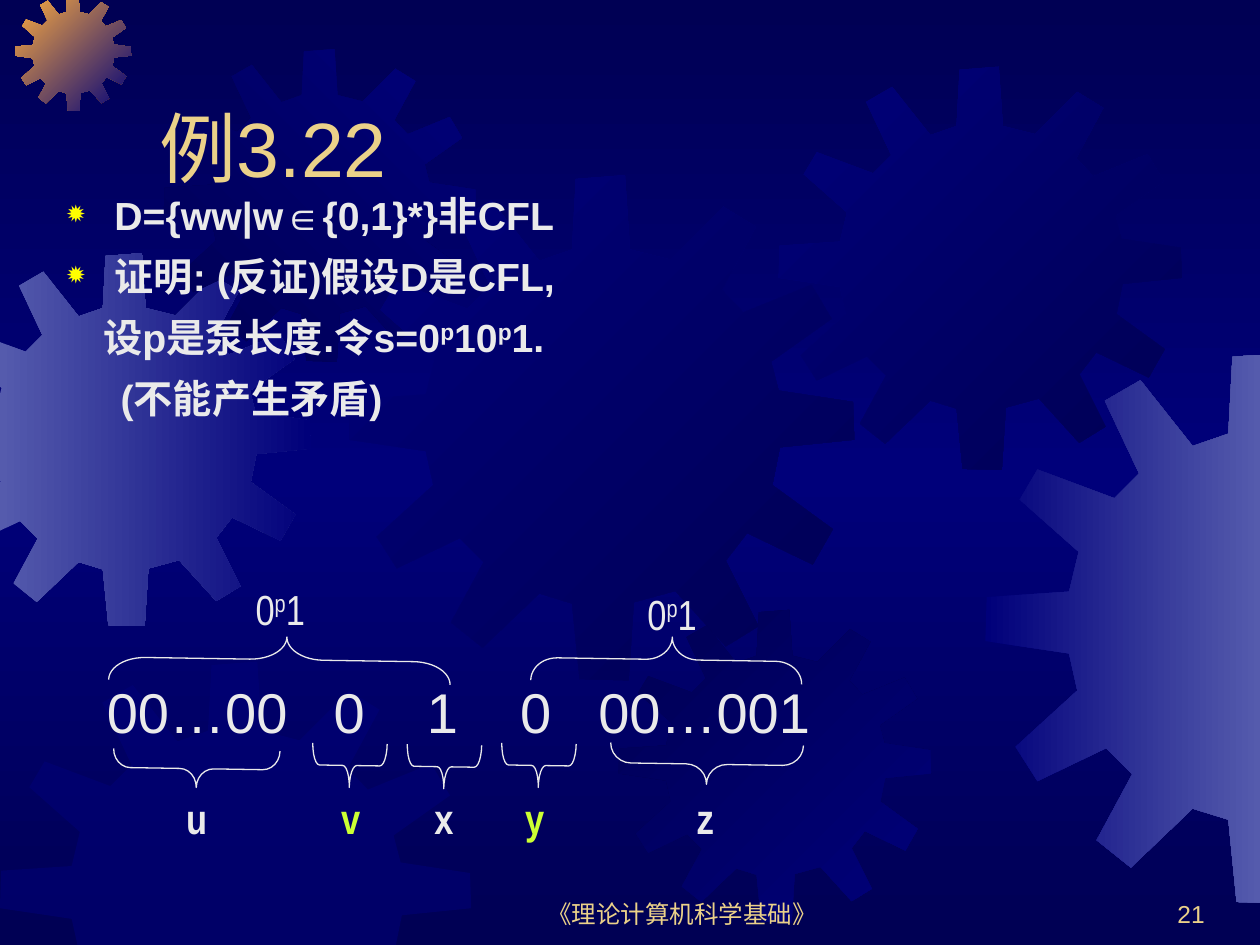
from copy import deepcopy

from lxml import etree
from pptx import Presentation
from pptx.dml.color import RGBColor
from pptx.enum.shapes import MSO_SHAPE
from pptx.enum.text import MSO_ANCHOR, PP_ALIGN
from pptx.oxml.ns import qn
from pptx.util import Inches, Pt

BRACE = MSO_SHAPE.LEFT_BRACE
TOP, BOTTOM = MSO_ANCHOR.TOP, MSO_ANCHOR.BOTTOM
LEFT, CENTER, RIGHT = PP_ALIGN.LEFT, PP_ALIGN.CENTER, PP_ALIGN.RIGHT

SLIDE_W, SLIDE_H = 10, 7.5
COLORS = {
    "navy": "000054", "blue": "00007A", "steel": "555BAD", "orange": "FCAB40",
    "gold": "EBD189", "text": "EAEAEA", "lime": "CCFF33", "bullet": "FFFF00",
}

# Outline of a twelve-toothed gear, in a square of GEAR_SIZE units
GEAR_SIZE = 401
GEAR = [
    (255, 67), (223, 59), (219, 0), (180, 3), (177, 59), (151, 68), (113, 20), (87, 35),
    (112, 88), (94, 106), (38, 85), (25, 107), (68, 145), (61, 174), (1, 178), (0, 210),
    (61, 219), (67, 246), (22, 287), (38, 312), (88, 288), (107, 307), (81, 355), (106, 375),
    (151, 332), (177, 340), (183, 400), (222, 401), (226, 339), (259, 330), (299, 374),
    (325, 358), (299, 306), (316, 284), (368, 309), (384, 281), (336, 246), (342, 216),
    (401, 210), (400, 180), (341, 171), (335, 148), (383, 114), (367, 87), (313, 109),
    (296, 91), (323, 41), (297, 25),
]
# left, top, size, first colour, last colour, angle
GEARS = [
    (-0.49, 2.01, 2.96, "steel", "blue", 0),
    (0.12, -0.04, 0.92, "orange", "blue", 45),
    (1.3, 0.39, 2.48, "navy", "blue", 315),
    (2.77, 1.39, 4.01, "blue", "navy", 45),
    (0, 5.25, 3.74, "blue", None, 0),
    (4.91, 4.84, 2.48, "navy", "blue", 45),
    (6.18, 0.53, 3.2, "blue", "navy", 45),
    (7.82, 2.8, 4.37, "blue", "steel", 0),
]
# left, top, width, height before turning, rotation, curl, tip position
BRACES = [
    (2.04, 3.88, 0.36, 2.71, 90.9, 0.81, 0.48),
    (5.11, 4.16, 0.36, 2.15, 90.9, 0.58, 0.48),
    (1.41, 5.44, 0.3, 1.32, 270.9, 0.45, 0.5),
    (2.6, 5.78, 0.35, 0.59, 270.9, 0.16, 0.5),
    (3.35, 5.79, 0.35, 0.59, 270.9, 0.16, 0.5),
    (4.1, 5.78, 0.35, 0.59, 270.9, 0.16, 0.5),
    (5.45, 5.3, 0.32, 1.53, 270.9, 0.51, 0.5),
]
LABELS = [("u", 1.38, "text"), ("v", 2.61, "lime"), ("x", 3.35, "text"),
          ("y", 4.07, "lime"), ("z", 5.43, "text")]


def rgb(name):
    return RGBColor.from_string(COLORS[name])


def clip(points, axis, limit, sign):
    """Keep the part of a polygon where sign * coordinate <= sign * limit."""
    kept = []
    for a, b in zip(points, points[1:] + points[:1]):
        a_in, b_in = (sign * p[axis] <= sign * limit for p in (a, b))
        if a_in:
            kept.append(a)
        if a_in != b_in:
            t = (limit - a[axis]) / (b[axis] - a[axis])
            kept.append(tuple(m + t * (n - m) for m, n in zip(a, b)))
    return kept


def set_gradient(fill, colors, angle):
    for stop, color in zip(fill.gradient_stops, colors):
        stop.color.rgb = rgb(color)
    fill.gradient_angle = -angle % 360


def add_background(s):
    fill = s.background.fill
    fill.gradient()
    stops = s._element.find(".//" + qn("a:gsLst"))
    stops.insert(1, deepcopy(stops[0]))
    fill.gradient_stops[1].position = 0.5
    set_gradient(fill, ("navy", "blue", "navy"), 90)


def add_gear(s, left, top, size, first, last, angle):
    k = size / GEAR_SIZE
    points = [(left + k * x, top + k * y) for x, y in GEAR]
    for axis, limit, sign in ((0, 0, -1), (0, SLIDE_W, 1), (1, 0, -1), (1, SLIDE_H, 1)):
        points = clip(points, axis, limit, sign)
    points = [(Inches(x), Inches(y)) for x, y in points]
    builder = s.shapes.build_freeform(*points[0])
    builder.add_line_segments(points[1:], close=True)
    sp = builder.convert_to_shape()
    sp.shadow.inherit = False
    sp.line.fill.background()
    if last:
        sp.fill.gradient()
        set_gradient(sp.fill, (first, last), angle)
    else:  # half-transparent plain gear
        sp.fill.solid()
        sp.fill.fore_color.rgb = rgb(first)
        color = sp._element.spPr.find(".//" + qn("a:srgbClr"))
        etree.SubElement(color, qn("a:alpha"), val="50000")


def add_brace(s, left, top, width, height, rotation, curl, tip):
    sp = s.shapes.add_shape(BRACE, *map(Inches, (left, top, width, height)))
    sp.rotation = rotation
    sp.adjustments[0], sp.adjustments[1] = curl, tip
    sp.shadow.inherit = False
    sp.fill.background()
    sp.line.color.rgb = rgb("text")
    sp.line.width = Pt(0.75)


def add_box(s, left, top, width, height, anchor=TOP):
    tf = s.shapes.add_textbox(*map(Inches, (left, top, width, height))).text_frame
    tf.word_wrap = True
    tf.vertical_anchor = anchor
    return tf


def add_runs(p, runs, size, color="text", font="Arial", bold=False):
    """Write the runs in turn; every second one is a superscript."""
    for i, text in enumerate(runs):
        r = p.add_run()
        r.text = text
        r.font.size, r.font.name, r.font.bold = Pt(size), font, bold
        r.font.color.rgb = rgb(color)
        if i % 2:
            r.font._element.set("baseline", "30000")


def add_line(s, box, text, size, color, align=LEFT, anchor=BOTTOM):
    p = add_box(s, *box, anchor).paragraphs[0]
    p.alignment = align
    add_runs(p, [text], size, color)


def add_bullet(pPr):
    color = etree.SubElement(pPr, qn("a:buClr"))
    etree.SubElement(color, qn("a:srgbClr"), val=COLORS["bullet"])
    etree.SubElement(pPr, qn("a:buSzPct"), val="80000")
    etree.SubElement(pPr, qn("a:buChar"), char="✹")


def add_body(s):
    tf = add_box(s, 0.43, 1.47, 8.5, 2)
    lines = [  # runs, left margin, bullet
        (["D={ww|w∈{0,1}*}非CFL"], 0.38, True),
        (["证明: (反证)假设D是CFL,"], 0.38, True),
        (["设p是泵长度.令s=0", "p", "10", "p", "1."], 0.29, False),
        (["(不能产生矛盾)"], 0.43, False),
    ]
    for i, (runs, margin, bullet) in enumerate(lines):
        p = tf.add_paragraph() if i else tf.paragraphs[0]
        pPr = p._p.get_or_add_pPr()
        pPr.set("marL", str(Inches(margin)))
        if bullet:
            pPr.set("indent", str(-Inches(margin)))
            add_bullet(pPr)
        if i:
            p.space_before = Pt(8)
        add_runs(p, runs, 22.4, bold=True)


def add_string(s):
    p = add_box(s, 0.75, 5.33, 5.83, 0.64).paragraphs[0]
    tabs = etree.SubElement(p._p.get_or_add_pPr(), qn("a:tabLst"))
    for pos in (1.8, 2.54, 3.28, 3.9):
        etree.SubElement(tabs, qn("a:tab"), pos=str(Inches(pos)), algn="l")
    add_runs(p, ["00…00\t0\t1\t0\t00…001"], 32)


def main():
    prs = Presentation()
    prs.slide_width, prs.slide_height = Inches(SLIDE_W), Inches(SLIDE_H)
    s = prs.slides.add_slide(prs.slide_layouts[6])

    # Backdrop
    add_background(s)
    for gear in GEARS:
        add_gear(s, *gear)

    # Footer, title and body
    add_line(s, (3.83, 6.92, 3.17, 0.5), "《理论计算机科学基础》", 14, "gold", CENTER)
    add_line(s, (7.58, 6.92, 2.08, 0.5), "21", 14, "gold", RIGHT)
    add_line(s, (1.17, 0.33, 8.5, 1.25), "例3.22", 44, "gold")
    add_body(s)

    # Split of the string
    add_string(s)
    for brace in BRACES:
        add_brace(s, *brace)
    for left, top in ((1.93, 4.58), (5.04, 4.62)):
        p = add_box(s, left, top, 0.75, 0.5).paragraphs[0]
        add_runs(p, ["0", "p", "1"], 24, font="Arial Narrow")
    for text, left, color in LABELS:
        p = add_box(s, left, 6.24, 0.5, 0.5).paragraphs[0]
        add_runs(p, [text], 24, color, "Arial Narrow", True)

    prs.save("out.pptx")


if __name__ == "__main__":
    main()
